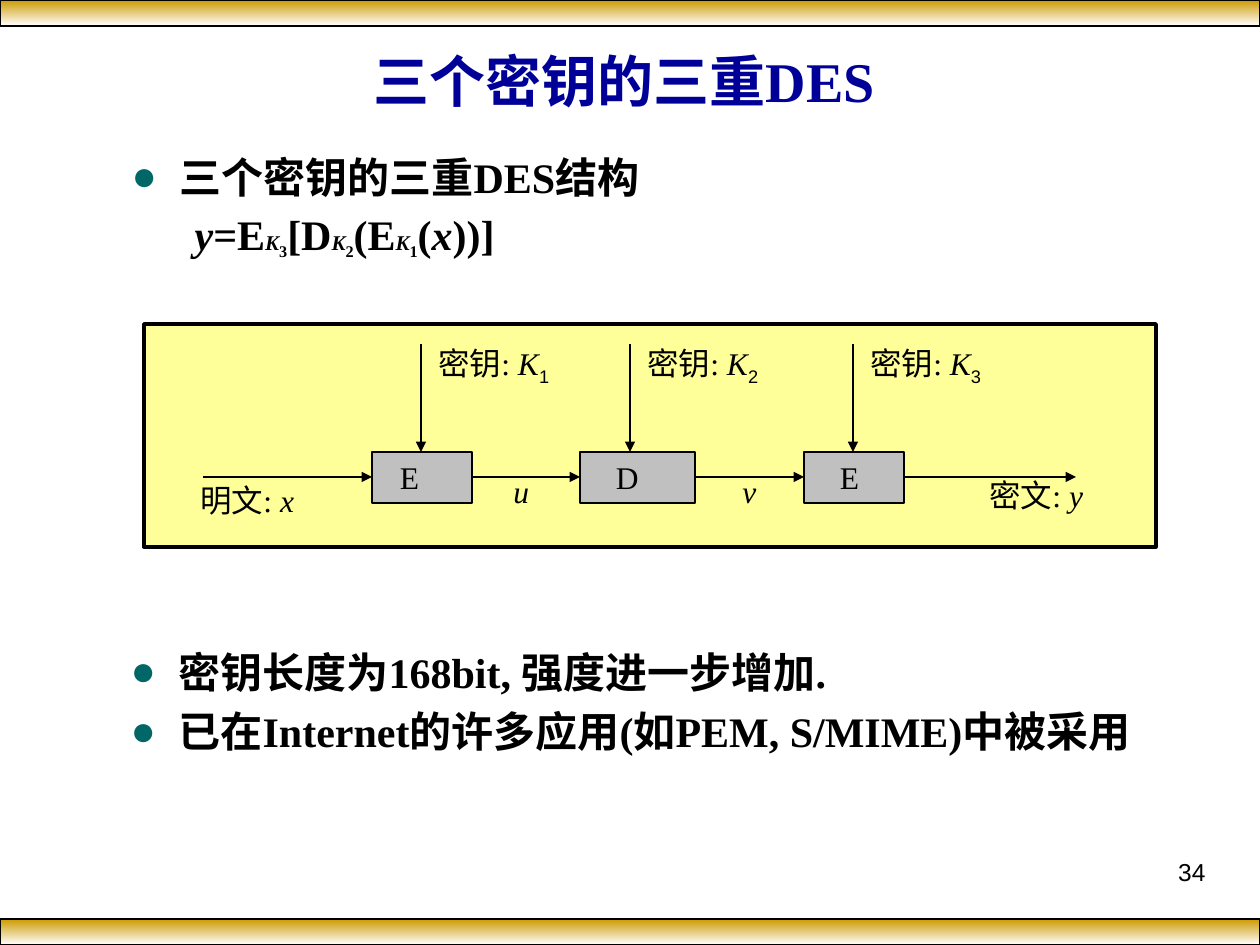
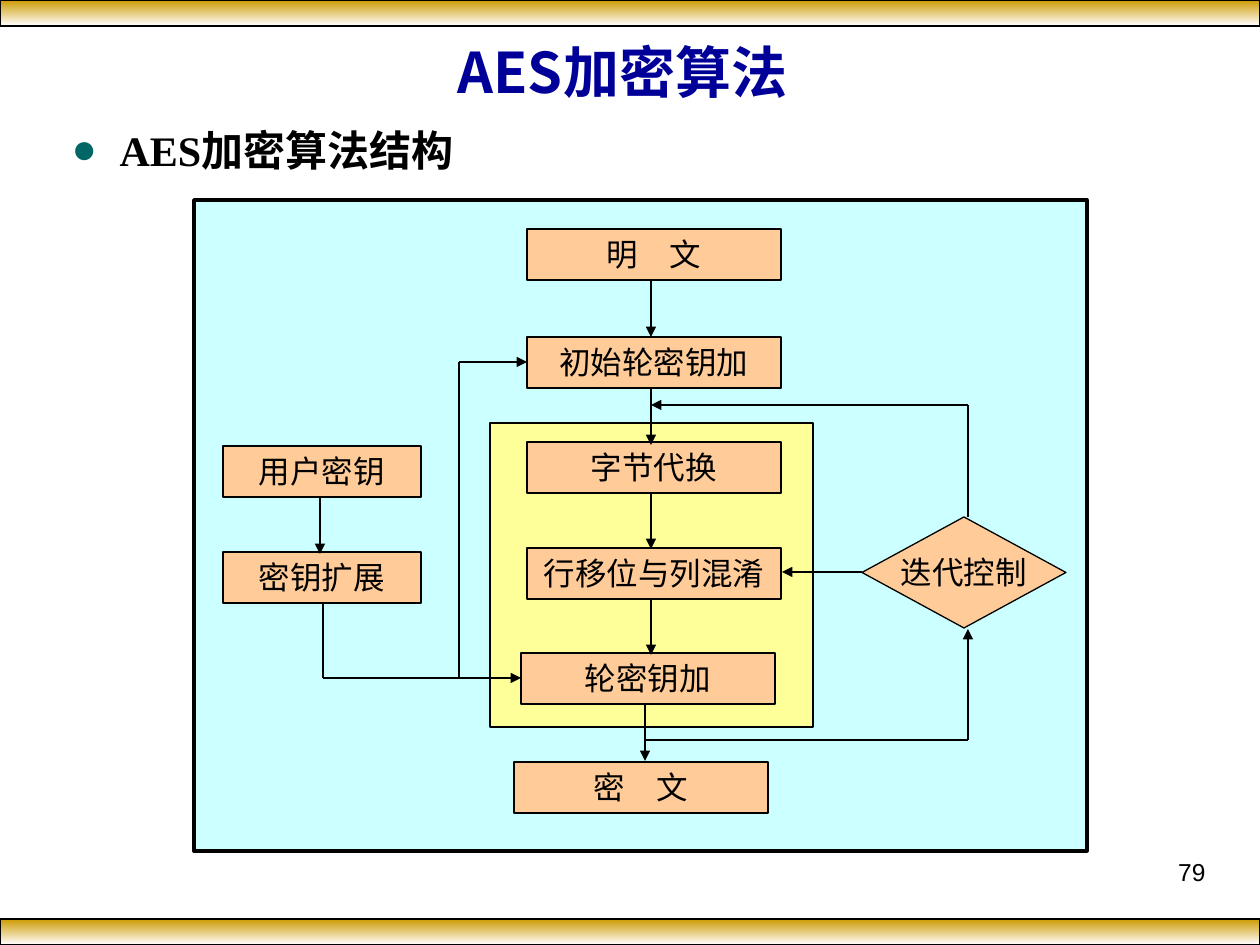
from itertools import pairwise

from lxml.etree import SubElement
from pptx import Presentation
from pptx.dml.color import RGBColor
from pptx.enum.shapes import MSO_CONNECTOR, MSO_SHAPE
from pptx.enum.text import MSO_ANCHOR, MSO_AUTO_SIZE, PP_ALIGN
from pptx.oxml.ns import qn
from pptx.util import Pt

SCALE = 914400 / 126
COLORS = {
    "title": "000099", "text": "000000", "bullet": "006666",
    "gold": "CC9900", "white": "FFFFFF", "yellow": "FFFF99",
    "gray": "C0C0C0", "cyan": "CCFFFF", "peach": "FFCC99",
}
SERIF, SANS, CJK = "Times New Roman", "Arial", "Noto Sans CJK SC"
LEADING = 1.17
HANGING = 48

# A text is a list of (words, style) runs; the styles are these run settings.
STYLES = {
    "": {},
    "italic": {"italic": True},
    "key": {"italic": True, "size": 12},
    "key number": {"size": 16, "base": -25},
    "label number": {"font": SANS, "base": -25},
}

DES = {
    "title": "三个密钥的三重DES", "title font": SERIF, "title box": (74, 35, 1100, 92),
    "number": "34",
    "bodies": [
        ((119, 146, 1086, 126), [
            ("bullet", [("三个密钥的三重DES结构", "")]),
            ("formula", [("y", "italic"), ("=E", ""), ("K", "key"), ("3", "key number"),
                         ("[D", ""), ("K", "key"), ("2", "key number"),
                         ("(E", ""), ("K", "key"), ("1", "key number"),
                         ("(", ""), ("x", "italic"), ("))]", "")]),
        ]),
        ((118, 641, 1052, 175), [
            ("bullet", [("密钥长度为168bit, 强度进一步增加.", "")]),
            ("bullet", [("已在Internet的许多应用(如PEM, S/MIME)中被采用", "")]),
        ]),
    ],
}
DES_FRAME = (144, 324, 1012, 223)
STAGE_TOP, STAGE_H, KEY_TOP, FLOW_Y = 452, 51, 344, 477
# letter, left, width, letter indent, key arrow x, key number
STAGES = [
    ("E", 372, 100, 28, 421, "1"),
    ("D", 580, 115, 36, 630, "2"),
    ("E", 804, 100, 36, 853, "3"),
]
FLOW_START, FLOW_END = 203, 1076
FLOW_LABELS = [
    ((188, 476, 144, 50), [("明文: ", ""), ("x", "italic")]),
    ((501, 467, 79, 50), [("u", "italic")]),
    ((730, 467, 79, 50), [("v", "italic")]),
    ((977, 471, 144, 50), [("密文: ", ""), ("y", "italic")]),
]

AES = {
    "title": "AES加密算法", "title font": CJK, "title box": (34, 32, 1177, 78),
    "number": "79",
    "bodies": [((59, 119, 583, 63), [("bullet", [("AES加密算法结构", "")])])],
}
AES_FRAME = (194, 200, 893, 651)
ROUND_FRAME = (490, 423, 323, 304)
STEP_H = 51
STEPS = [
    ("明　文", 527, 229, 254), ("初始轮密钥加", 527, 337, 254),
    ("字节代换", 527, 442, 254), ("行移位与列混淆", 527, 548, 254),
    ("轮密钥加", 521, 653, 254), ("密　文", 514, 762, 254),
    ("用户密钥", 223, 446, 198), ("密钥扩展", 223, 552, 198),
]
LOOP_CONTROL = ("迭代控制", (862, 517, 204, 111))
# Each route ends in an arrowhead.
ROUTES = [
    [(651, 281), (651, 337)],
    [(651, 389), (651, 445)],
    [(651, 494), (651, 549)],
    [(651, 600), (651, 655)],
    [(645, 704), (645, 761)],
    [(320, 498), (320, 554)],
    [(323, 603), (323, 678), (521, 678)],
    [(459, 678), (459, 362), (527, 362)],
    [(645, 740), (968, 740), (968, 629)],
    [(968, 517), (968, 405), (651, 405)],
    [(862, 572), (782, 572)],
]


def px(n):
    return round(n * SCALE)


def rgb(name):
    return RGBColor.from_string(COLORS[name])


def write(p, runs, size=18, font=SERIF, color="text", bold=False):
    """Add styled runs; serif lines keep one height whether or not they hold Chinese."""
    if font == SERIF:
        p.line_spacing = Pt(size * LEADING)
    for words, style in runs:
        look = STYLES[style]
        r = p.add_run()
        r.text = words
        r.font.size = Pt(look.get("size", size))
        r.font.name = look.get("font", font)
        r.font.bold = bold
        r.font.italic = look.get("italic", False)
        r.font.color.rgb = rgb(color)
        rpr = r.font._element
        SubElement(rpr, qn("a:ea")).set("typeface", CJK)
        if "base" in look:
            rpr.set("baseline", str(look["base"] * 1000))


def place(sp, box):
    sp.left, sp.top, sp.width, sp.height = map(px, box)
    tf = sp.text_frame
    tf.auto_size = MSO_AUTO_SIZE.NONE
    tf.word_wrap = True
    return tf


def add_label(slide, box, runs, align=PP_ALIGN.LEFT, **look):
    sp = slide.shapes.add_textbox(*map(px, box))
    p = place(sp, box).paragraphs[0]
    p.alignment = align
    write(p, runs, **look)


def add_box(slide, box, fill, line=0.75, text="", indent=None, kind=MSO_SHAPE.RECTANGLE):
    """Outlined shape; its text is centred unless an indent is given."""
    sp = slide.shapes.add_shape(kind, *map(px, box))
    sp.shadow.inherit = False
    sp.fill.solid()
    sp.fill.fore_color.rgb = rgb(fill)
    sp.line.color.rgb = rgb("text")
    sp.line.width = Pt(line)
    if text:
        tf = sp.text_frame
        tf.word_wrap = False
        tf.vertical_anchor = MSO_ANCHOR.MIDDLE
        p = tf.paragraphs[0]
        p.alignment = PP_ALIGN.CENTER if indent is None else PP_ALIGN.LEFT
        tf.margin_left = px(indent or 0)
        tf.margin_right = 0
        write(p, [(text, "")])
    return sp


def add_route(slide, points):
    for start, end in pairwise(points):
        line = slide.shapes.add_connector(
            MSO_CONNECTOR.STRAIGHT, *map(px, start + end))
        line.line.color.rgb = rgb("text")
        line.line.width = Pt(0.75)
        if end == points[-1]:
            SubElement(line.line._get_or_add_ln(), qn("a:tailEnd")).set("type", "triangle")
        SubElement(line.element.spPr, qn("a:effectLst"))


def add_bands(prs, slide):
    """Draw both gold bands and hand them over to the slide master."""
    for top in (0, 919):
        band = add_box(slide, (0, top, 1260, 26), "gold")
        band.fill.gradient()
        band.fill.gradient_angle = 270
        for stop, name, position in zip(band.fill.gradient_stops, ("gold", "white"), (0, 1)):
            stop.color.rgb = rgb(name)
            stop.position = position
        prs.slide_master.element.cSld.spTree.insert(2, band.element)


def fill_body(sp, box, paragraphs):
    tf = place(sp, box)
    tf.vertical_anchor = MSO_ANCHOR.TOP
    for i, (kind, runs) in enumerate(paragraphs):
        p = tf.paragraphs[0] if i == 0 else tf.add_paragraph()
        p.space_before = Pt(6 if i else 0)
        ppr = p._p.get_or_add_pPr()
        if kind == "bullet":
            ppr.set("marL", str(px(HANGING)))
            ppr.set("indent", str(-px(HANGING)))
            SubElement(SubElement(ppr, qn("a:buClr")), qn("a:srgbClr")).set(
                "val", COLORS["bullet"])
            SubElement(ppr, qn("a:buChar")).set("char", "●")
        else:
            ppr.set("marL", str(px(63)))
            ppr.set("indent", "0")
            SubElement(ppr, qn("a:buNone"))
        write(p, runs, size=24, bold=True)


def add_slide(prs, layout, content):
    slide = prs.slides.add_slide(prs.slide_layouts[layout])
    title, *bodies = slide.placeholders
    tf = place(title, content["title box"])
    tf.vertical_anchor = MSO_ANCHOR.MIDDLE
    tf.paragraphs[0].alignment = PP_ALIGN.CENTER
    write(tf.paragraphs[0], [(content["title"], "")], size=32,
          font=content["title font"], color="title", bold=True)
    for sp, (box, paragraphs) in zip(bodies, content["bodies"]):
        fill_body(sp, box, paragraphs)
    add_label(slide, (903, 851, 315, 65), [(content["number"], "")],
              PP_ALIGN.RIGHT, size=14, font=SANS)
    return slide


def draw_triple_des(slide):
    add_box(slide, DES_FRAME, "yellow", 2)
    flow_x = FLOW_START
    for letter, left, width, indent, key_x, number in STAGES:
        add_box(slide, (left, STAGE_TOP, width, STAGE_H), "gray", 1.5, letter, indent)
        add_route(slide, [(key_x, KEY_TOP), (key_x, STAGE_TOP)])
        add_label(slide, (key_x + 5, KEY_TOP, 174, 55),
                  [("密钥: ", ""), ("K", "italic"), (number, "label number")])
        add_route(slide, [(flow_x, FLOW_Y), (left, FLOW_Y)])
        flow_x = left + width
    add_route(slide, [(flow_x, FLOW_Y), (FLOW_END, FLOW_Y)])
    for box, runs in FLOW_LABELS:
        add_label(slide, box, runs)


def draw_aes(slide):
    add_box(slide, AES_FRAME, "cyan", 2)
    add_box(slide, ROUND_FRAME, "yellow")
    for name, left, top, width in STEPS:
        add_box(slide, (left, top, width, STEP_H), "peach", text=name)
    name, box = LOOP_CONTROL
    add_box(slide, box, "peach", text=name, kind=MSO_SHAPE.FLOWCHART_DECISION)
    for points in ROUTES:
        add_route(slide, points)


def main():
    prs = Presentation()
    prs.slide_width, prs.slide_height = px(1260), px(945)
    des = add_slide(prs, 3, DES)
    add_bands(prs, des)
    draw_triple_des(des)
    draw_aes(add_slide(prs, 1, AES))
    prs.save("out.pptx")


if __name__ == "__main__":
    main()
